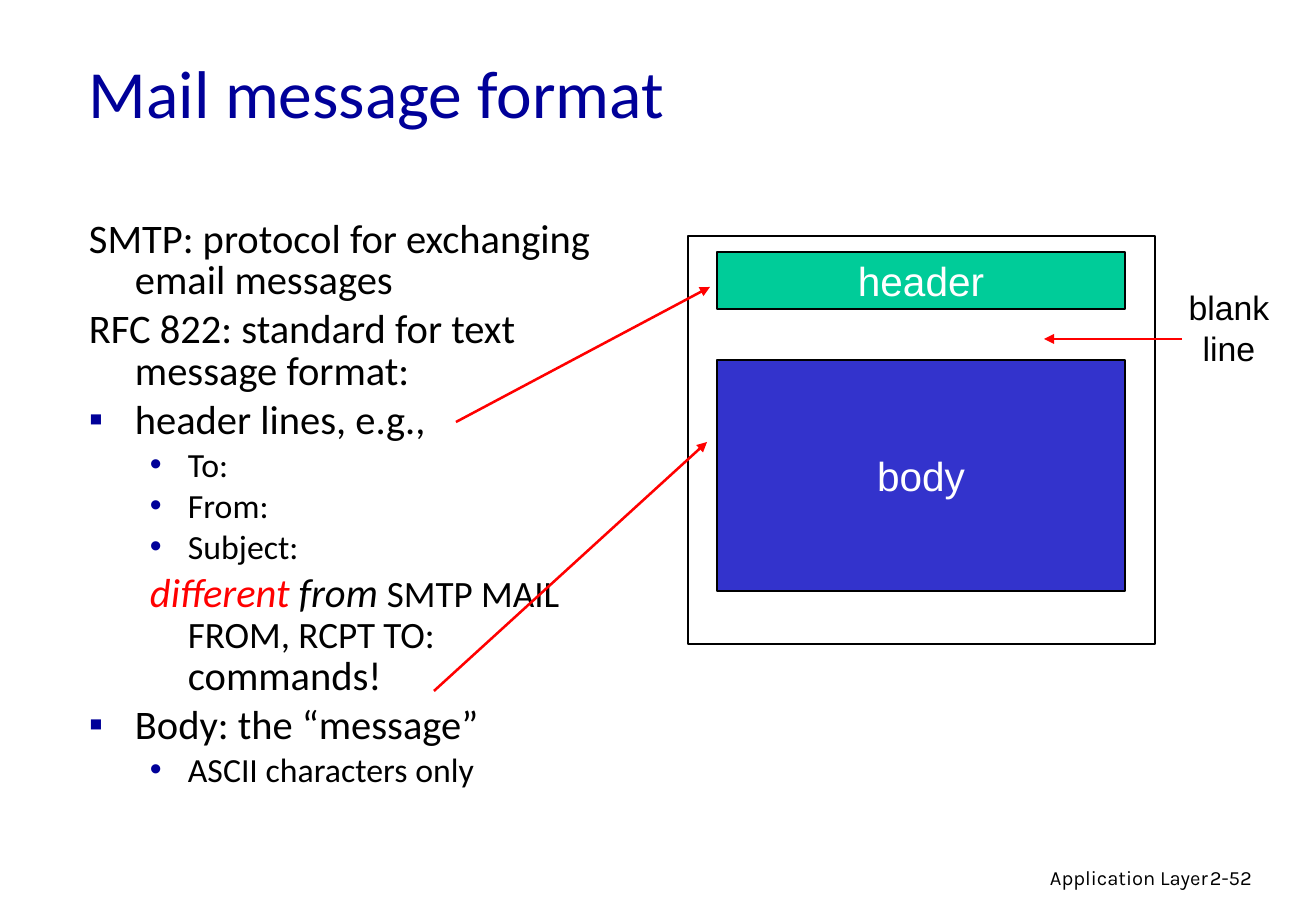
import pptx
import pptx.dml.color
import pptx.enum.shapes
import pptx.enum.text
import pptx.oxml
import pptx.oxml.ns
import pptx.util

PX = 914400 / 121.5
WIDTH, HEIGHT = 1316, 911
NAVY, BLACK, WHITE, RED = "000099", "000000", "FFFFFF", "FF0000"

TITLE = "Mail message format"
# bullet, level, runs of (text, size, colour, italic)
NOTES = [
    ("", 0, [("SMTP: protocol for exchanging email messages", 24, BLACK, False)]),
    ("", 0, [("RFC 822: standard for text message format:", 24, BLACK, False)]),
    ("▪", 0, [("header lines, e.g.,", 24, BLACK, False)]),
    ("•", 1, [("To:", 20, BLACK, False)]),
    ("•", 1, [("From:", 20, BLACK, False)]),
    ("•", 1, [("Subject:", 20, BLACK, False)]),
    ("", 1, [("different ", 24, RED, True), ("from ", 24, BLACK, True),
             ("SMTP MAIL FROM, RCPT TO:", 22, BLACK, False),
             (" commands!", 24, BLACK, False)]),
    ("▪", 0, [("Body: the “message”", 24, BLACK, False)]),
    ("•", 1, [("ASCII characters only", 20, BLACK, False)]),
]
INDENTS = [(46, -46), (99, -38)]  # left margin and first line, by level

# label, box, fill, line width
MESSAGE_PARTS = [
    ("header", (717, 252, 408, 57), "00CC99", 0.75),
    ("body", (717, 360, 408, 231), "3333CC", 0.75),
    ("", (688, 236, 467, 408), None, 1),
]
ARROWS = [(456, 422, 710, 287), (434, 691, 707, 442), (1182, 339, 1044, 339)]

ALIGN = pptx.enum.text.PP_ALIGN
ANCHOR = pptx.enum.text.MSO_ANCHOR


def px(*lengths):
    return [pptx.util.Emu(round(n * PX)) for n in lengths]


def rgb(color):
    return pptx.dml.color.RGBColor.from_string(color)


def add_run(p, text, size=24, color=BLACK, italic=False, font="Calibri"):
    r = p.add_run()
    r.text = text
    r.font.size = pptx.util.Pt(size)
    r.font.color.rgb = rgb(color)
    r.font.italic = italic
    r.font.name = font


def add_box(box, wrap=True, anchor=ANCHOR.TOP):
    tf = s.shapes.add_textbox(*px(*box)).text_frame
    tf.word_wrap = wrap
    tf.vertical_anchor = anchor
    return tf


def add_label(tf, text, align=ALIGN.LEFT, **style):
    """Write each line of text as its own paragraph."""
    for i, line in enumerate(text.split("\n")):
        p = tf.add_paragraph() if i else tf.paragraphs[0]
        p.alignment = align
        add_run(p, line, **style)


def add_xml(parent, xml):
    ns = pptx.oxml.ns.nsdecls("a")
    parent.append(pptx.oxml.parse_xml(xml.replace("/>", f" {ns}/>", 1)
                                      if xml.endswith("/>") and xml.count("<") == 1
                                      else xml.replace(">", f" {ns}>", 1)))


def add_notes(box):
    tf = add_box(box)
    for i, (bullet, level, runs) in enumerate(NOTES):
        p = tf.add_paragraph() if i else tf.paragraphs[0]
        p.level = level
        p.line_spacing = 0.85
        if i:
            p.space_before = pptx.util.Pt(0.2 * runs[0][1])
        pPr = p._p.get_or_add_pPr()
        margin, first = px(*INDENTS[level])
        pPr.set("marL", str(margin))
        pPr.set("indent", str(first))
        if bullet:
            add_xml(pPr, f'<a:buClr><a:srgbClr val="{NAVY}"/></a:buClr>')
            add_xml(pPr, '<a:buFont typeface="Arial"/>')
            add_xml(pPr, f'<a:buChar char="{bullet}"/>')
        for text, size, color, italic in runs:
            add_run(p, text, size=size, color=color, italic=italic)


def add_part(label, box, fill, width):
    sp = s.shapes.add_shape(pptx.enum.shapes.MSO_SHAPE.RECTANGLE, *px(*box))
    sp.shadow.inherit = False
    if fill:
        sp.fill.solid()
        sp.fill.fore_color.rgb = rgb(fill)
    else:
        sp.fill.background()
    sp.line.color.rgb = rgb(BLACK)
    sp.line.width = pptx.util.Pt(width)
    if label:
        tf = sp.text_frame
        tf.word_wrap = False
        tf.vertical_anchor = ANCHOR.MIDDLE
        add_label(tf, label, align=ALIGN.CENTER, color=WHITE, font="Arial")


def add_arrow(ends):
    line = s.shapes.add_connector(pptx.enum.shapes.MSO_CONNECTOR.STRAIGHT, *px(*ends))
    line.line.color.rgb = rgb(RED)
    line.line.width = pptx.util.Pt(1.5)
    add_xml(line.line._get_or_add_ln(), '<a:tailEnd type="triangle"/>')
    add_xml(line._element.spPr, "<a:effectLst/>")


prs = pptx.Presentation()
prs.slide_width, prs.slide_height = px(WIDTH, HEIGHT)
s = prs.slides.add_slide(prs.slide_layouts[6])

add_label(add_box((77, 16, 1119, 152), anchor=ANCHOR.MIDDLE), TITLE, size=40, color=NAVY)
add_notes((77, 214, 565, 617))
for part in MESSAGE_PARTS:
    add_part(*part)
for arrow in ARROWS:
    add_arrow(arrow)
add_label(add_box((1176, 281, 106, 94), wrap=False), "blank\nline",
          align=ALIGN.CENTER, size=20, font="Arial")
add_label(add_box((803, 859, 417, 38)), "Application Layer",
          align=ALIGN.RIGHT, size=12, font="Karla")
add_label(add_box((1198, 859, 97, 36)), "2-52", size=12, font="Karla")

prs.save("out.pptx")
